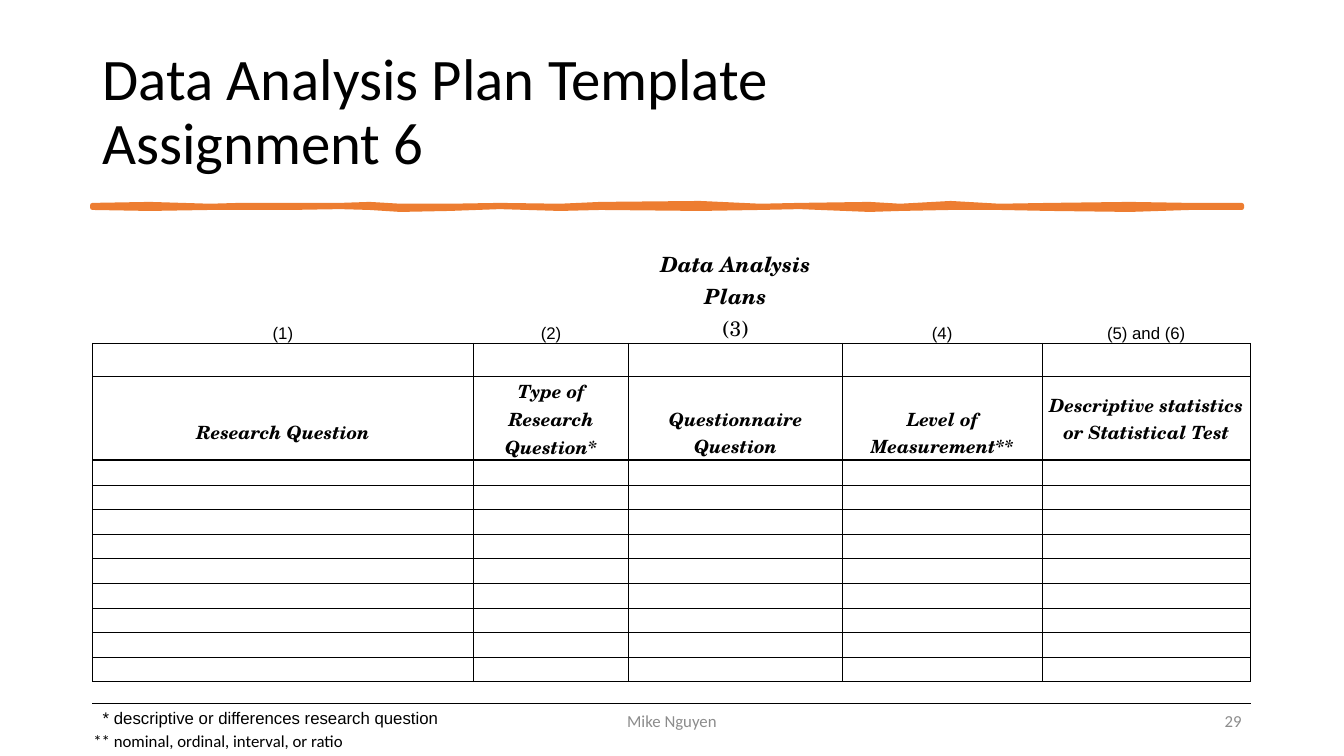
from dataclasses import dataclass, field
from typing import NamedTuple

from lxml.etree import SubElement
from pptx import Presentation
from pptx.dml.color import RGBColor
from pptx.enum.text import MSO_ANCHOR, PP_ALIGN
from pptx.oxml.ns import qn
from pptx.slide import Slide
from pptx.table import Table, _Cell
from pptx.text.text import _Paragraph
from pptx.util import Pt

BLACK = RGBColor(0x00, 0x00, 0x00)
GREY = RGBColor(0x8C, 0x8C, 0x8C)
ORANGE = RGBColor(0xED, 0x7D, 0x31)

COLUMN_WIDTHS = (272.2, 110.9, 152.6, 142.6, 149)
NUMBER_ROW, SPACER_ROW, HEADING_ROW, FIRST_BLANK_ROW = 1, 2, 3, 4
BLANK_ROW_COUNT = 9
GAP_ROW = FIRST_BLANK_ROW + BLANK_ROW_COUNT
FOOTNOTE_ROW = GAP_ROW + 1
ROW_HEIGHTS = (46.4, 22.3, 24, 59.7) + (17.6,) * BLANK_ROW_COUNT + (15.2, 17.6, 17.6)
THIN, THICK = 0.5, 1.5
LOWERED = 20.4

ARIAL = {"name": "Arial", "size": Pt(12)}
CALIBRI = {"name": "Calibri", "size": Pt(12)}
SCHOLA = {"name": "TeX Gyre Schola", "size": Pt(15)}
CAPTION = SCHOLA | {"bold": True, "italic": True}
HEADING = CAPTION | {"size": Pt(13)}


@dataclass
class Label:
    text: str
    left: float
    top: float
    width: float
    height: float
    font: dict
    color: RGBColor = BLACK
    alignment: PP_ALIGN = PP_ALIGN.LEFT
    line_spacing: float = 1.0


@dataclass
class Entry:
    row: int
    column: int
    text: str
    font: dict
    anchor: MSO_ANCHOR = MSO_ANCHOR.BOTTOM
    alignment: PP_ALIGN = PP_ALIGN.CENTER
    margins: dict = field(default_factory=dict)


class WavePoint(NamedTuple):
    x: float
    top: float
    bottom: float


LABELS = (
    Label("Data Analysis Plan Template\vAssignment 6", 66, 28.75, 828, 104.4,
          {"name": "Calibri", "size": Pt(42)}, line_spacing=0.9),
    Label("Mike Nguyen", 318, 500.5, 324, 28.75, CALIBRI, GREY, PP_ALIGN.CENTER),
    Label("29", 678, 500.5, 216, 28.75, CALIBRI, GREY, PP_ALIGN.RIGHT),
)

WAVE = tuple(WavePoint(*values) for values in (
    (66, 146.6, 148.4), (107, 145.9, 149.1), (150, 147.2, 148.4),
    (171, 146.6, 148.4), (207, 146.6, 148.4), (243, 146.6, 147.8),
    (264, 145.9, 148.4), (286, 147.2, 149.8), (321, 147.2, 149.1),
    (357, 146.6, 147.8), (400, 147.2, 149.1), (429, 145.9, 148.4),
    (500, 145.2, 149.1), (543, 147.2, 148.4), (571, 146.6, 147.8),
    (621, 145.9, 149.8), (643, 147.2, 149.1), (679, 145.2, 148.4),
    (714, 147.2, 148.4), (750, 146.6, 149.1), (807, 145.9, 149.8),
    (850, 146.6, 148.4), (887, 146.6, 148.4),
))

NUMBERS = (("(1)", ARIAL), ("(2)", ARIAL), ("(3)", SCHOLA), ("(4)", ARIAL), ("(5) and (6)", ARIAL))
HEADINGS = (
    ("Research Question", LOWERED),
    ("Type of Research Question*", 0.7),
    ("Questionnaire Question", LOWERED),
    ("Level of Measurement**", LOWERED),
    ("Descriptive statistics or Statistical Test", 0.7),
)
ENTRIES = (
    Entry(0, 2, "Data Analysis Plans", CAPTION),
    *(Entry(NUMBER_ROW, column, text, font) for column, (text, font) in enumerate(NUMBERS)),
    *(Entry(HEADING_ROW, column, text, HEADING, MSO_ANCHOR.MIDDLE, margins={"margin_top": Pt(top)})
      for column, (text, top) in enumerate(HEADINGS)),
    Entry(FOOTNOTE_ROW, 0, "* descriptive or differences research question", ARIAL,
          alignment=PP_ALIGN.LEFT, margins={"margin_left": Pt(7.4)}),
    Entry(FOOTNOTE_ROW + 1, 0, "** nominal, ordinal, interval, or ratio", CALIBRI,
          alignment=PP_ALIGN.LEFT),
)


def set_attributes(target: object, values: dict) -> None:
    for name, value in values.items():
        setattr(target, name, value)


def write_text(paragraph: _Paragraph, text: str, font: dict, color: RGBColor) -> None:
    paragraph.text = text
    for run in paragraph.runs:
        set_attributes(run.font, font)
        run.font.color.rgb = color


def add_label(slide: Slide, label: Label) -> None:
    shape = slide.shapes.add_textbox(Pt(label.left), Pt(label.top), Pt(label.width), Pt(label.height))
    set_attributes(shape.text_frame, {"word_wrap": True, "vertical_anchor": MSO_ANCHOR.MIDDLE})
    paragraph = shape.text_frame.paragraphs[0]
    write_text(paragraph, label.text, label.font, label.color)
    set_attributes(paragraph, {"alignment": label.alignment, "line_spacing": label.line_spacing})


def add_wave(slide: Slide) -> None:
    outline = [(point.x, point.top) for point in WAVE]
    outline += [(point.x, point.bottom) for point in reversed(WAVE)]
    corners = [(Pt(x), Pt(y)) for x, y in outline]
    builder = slide.shapes.build_freeform(*corners[0])
    builder.add_line_segments(corners[1:], close=True)
    shape = builder.convert_to_shape()
    shape.shadow.inherit = False
    shape.fill.solid()
    shape.fill.fore_color.rgb = ORANGE
    shape.line.color.rgb = ORANGE
    shape.line.width = Pt(3.25)


def row_borders(row: int) -> dict[str, float]:
    sides = {"lnL": THIN, "lnR": THIN}
    if row == NUMBER_ROW:
        return {"lnB": THIN}
    if row == SPACER_ROW:
        return sides | {"lnT": THIN}
    if row == HEADING_ROW:
        return sides | {"lnB": THICK}
    if FIRST_BLANK_ROW <= row < GAP_ROW:
        return sides | {"lnT": THICK if row == FIRST_BLANK_ROW else THIN, "lnB": THIN}
    return {"lnT": THIN} if row == GAP_ROW else {}


def prepare_cell(cell: _Cell, borders: dict[str, float]) -> None:
    set_attributes(cell, {"margin_left": Pt(0.7), "margin_right": Pt(0.7),
                          "margin_top": Pt(0.7), "margin_bottom": Pt(0)})
    properties = cell._tc.get_or_add_tcPr()
    for side in ("lnL", "lnR", "lnT", "lnB"):
        if side in borders:
            line = SubElement(properties, qn(f"a:{side}"), w=str(Pt(borders[side])))
            fill = SubElement(line, qn("a:solidFill"))
            SubElement(fill, qn("a:srgbClr"), val=str(BLACK))
    cell.fill.background()
    paragraph = cell.text_frame.paragraphs[0]
    SubElement(paragraph._p, qn("a:endParaRPr"), sz="1000")


def fill_entry(table: Table, entry: Entry) -> None:
    cell = table.cell(entry.row, entry.column)
    set_attributes(cell, {"vertical_anchor": entry.anchor} | entry.margins)
    paragraph = cell.text_frame.paragraphs[0]
    write_text(paragraph, entry.text, entry.font, BLACK)
    paragraph.alignment = entry.alignment


def add_plan_table(slide: Slide) -> None:
    frame = slide.shapes.add_table(len(ROW_HEIGHTS), len(COLUMN_WIDTHS), Pt(66), Pt(176.4),
                                   Pt(sum(COLUMN_WIDTHS)), Pt(sum(ROW_HEIGHTS)))
    table = frame.table
    set_attributes(table, {"first_row": False, "horz_banding": False})
    style = table._tbl.tblPr.find(qn("a:tableStyleId"))
    style.text = "{2D5ABB26-0587-4C30-8999-92F81FD0307C}"
    for column, width in zip(table.columns, COLUMN_WIDTHS):
        column.width = Pt(width)
    for index, height in enumerate(ROW_HEIGHTS):
        table.rows[index].height = Pt(height)
        for cell in table.rows[index].cells:
            prepare_cell(cell, row_borders(index))
    for row in (FOOTNOTE_ROW, FOOTNOTE_ROW + 1):
        table.cell(row, 0).merge(table.cell(row, 1))
    for entry in ENTRIES:
        fill_entry(table, entry)


def main() -> None:
    presentation = Presentation()
    set_attributes(presentation, {"slide_width": Pt(960), "slide_height": Pt(540)})
    slide = presentation.slides.add_slide(presentation.slide_layouts[6])
    add_wave(slide)
    for label in LABELS:
        add_label(slide, label)
    add_plan_table(slide)
    presentation.save("out.pptx")


if __name__ == "__main__":
    main()
